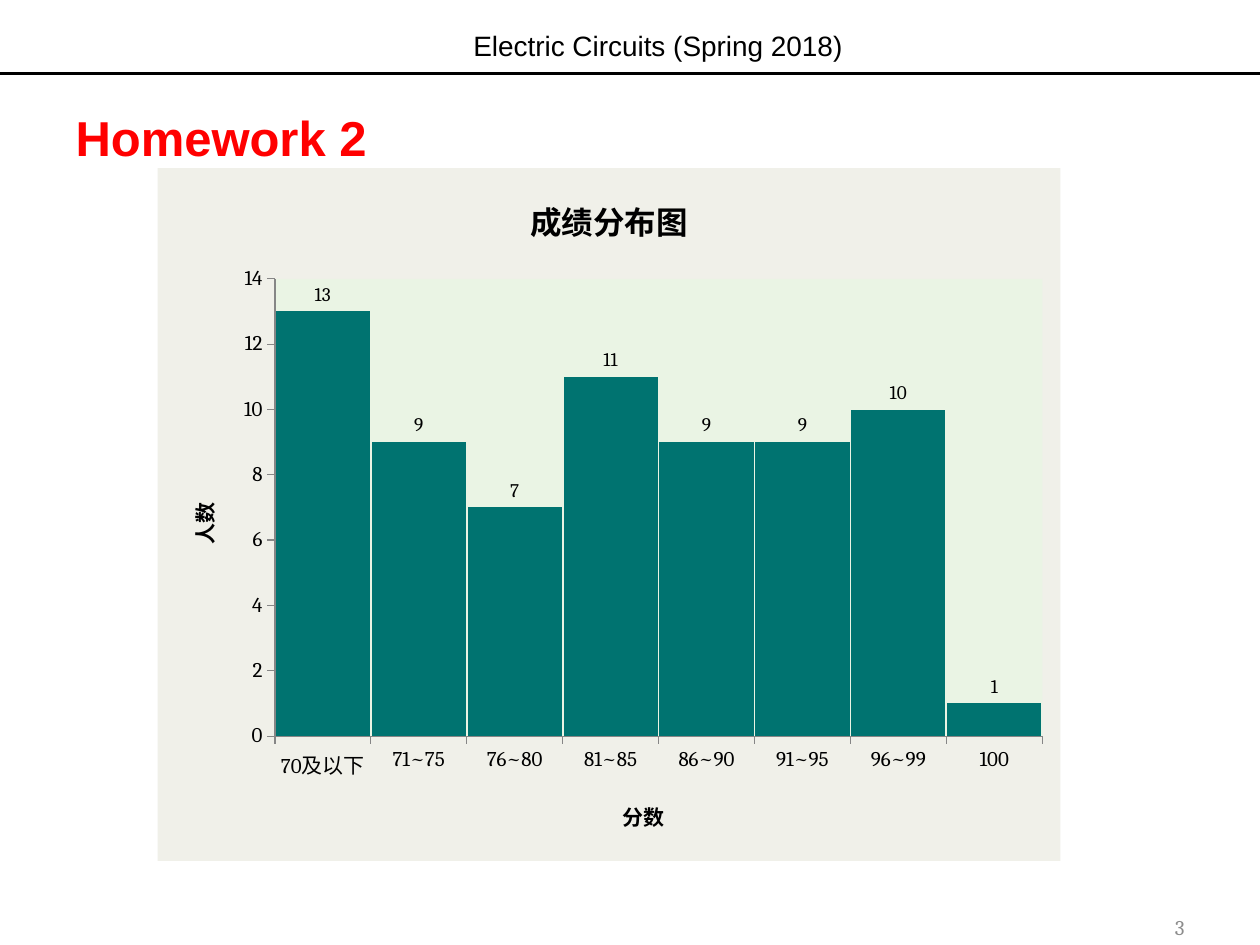
import pptx
import pptx.chart.data
import pptx.dml.color
import pptx.enum.chart
import pptx.enum.shapes
import pptx.enum.text
import pptx.oxml
import pptx.oxml.ns
import pptx.util
from dataclasses import dataclass

Pt = pptx.util.Pt
RGB = pptx.dml.color.RGBColor.from_string
ALIGN = pptx.enum.text.PP_ALIGN
ANCHOR = pptx.enum.text.MSO_ANCHOR
TICK = pptx.enum.chart.XL_TICK_MARK
NAMESPACES = pptx.oxml.ns.nsdecls("c", "a")


@dataclass
class Theme:
    ink: str = "000000"
    title: str = "FF0000"
    muted: str = "8C8C8C"
    axis: str = "868686"
    bars: str = "007370"
    chart_fill: str = "F0F0E9"
    plot_fill: str = "EAF4E4"
    sans: str = "Arial"
    serif: str = "Cambria"
    title_size: int = 28
    chart_title_size: int = 18
    header_size: int = 16
    axis_size: int = 12
    label_size: int = 11


theme = Theme()


def set_font(font, size, color=theme.ink, name=theme.serif, bold=False):
    values = {"size": Pt(size), "name": name, "bold": bold}
    for key, value in values.items():
        setattr(font, key, value)
    font.color.rgb = RGB(color)


def fill_xml(color):
    return pptx.oxml.parse_xml(
        f'<c:spPr {NAMESPACES}><a:solidFill><a:srgbClr val="{color}"/></a:solidFill>'
        "<a:ln><a:noFill/></a:ln></c:spPr>"
    )


deck = pptx.Presentation()
deck.slide_width, deck.slide_height = Pt(720), Pt(540)
page = deck.slides.add_slide(deck.slide_layouts[5])

# Header rule
rule = page.shapes.add_connector(
    pptx.enum.shapes.MSO_CONNECTOR.STRAIGHT, Pt(0), Pt(42), Pt(720), Pt(42)
)
rule.line.color.rgb = RGB(theme.ink)
rule.line.width = Pt(2.25)
rule._element.spPr.append(
    pptx.oxml.parse_xml(f"<a:effectLst {NAMESPACES}/>")
)

# Header, page number and title
header = page.shapes.add_textbox(Pt(262), Pt(12.5), Pt(228), Pt(26.5))
number = page.shapes.add_textbox(Pt(618), Pt(520), Pt(66), Pt(20))
title = page.shapes.title
title.left, title.top, title.width, title.height = Pt(36), Pt(54), Pt(648), Pt(48)

texts = [
    (header, "Electric Circuits (Spring 2018)", ALIGN.CENTER, ANCHOR.TOP, False,
     (theme.header_size, theme.ink, theme.sans)),
    (number, "3", ALIGN.RIGHT, ANCHOR.MIDDLE, True,
     (theme.axis_size, theme.muted, theme.serif)),
    (title, "Homework 2", ALIGN.LEFT, ANCHOR.MIDDLE, True,
     (theme.title_size, theme.title, theme.sans, True)),
]
for box, text, align, anchor, wrap, style in texts:
    frame = box.text_frame
    frame.word_wrap = wrap
    frame.vertical_anchor = anchor
    para = frame.paragraphs[0]
    para.alignment = align
    span = para.add_run()
    span.text = text
    set_font(span.font, *style)

# Score distribution chart
scores = pptx.chart.data.CategoryChartData()
scores.categories = ["70及以下", "71~75", "76~80", "81~85",
                     "86~90", "91~95", "96~99", "100"]
scores.add_series("Series 1", [13, 9, 7, 11, 9, 9, 10, 1])
chart = page.shapes.add_chart(
    pptx.enum.chart.XL_CHART_TYPE.COLUMN_CLUSTERED,
    Pt(90), Pt(96), Pt(516), Pt(396), scores,
).chart
set_font(chart.font, 10)
chart.has_legend = False

# Chart and axis titles
category_axis, value_axis = chart.category_axis, chart.value_axis
chart.has_title = True
for owner, text, size in [
    (chart, "成绩分布图", theme.chart_title_size),
    (category_axis, "分数", theme.axis_size),
    (value_axis, "人数", theme.axis_size),
]:
    heading = owner.chart_title if owner is chart else owner.axis_title
    span = heading.text_frame.paragraphs[0].add_run()
    span.text = text
    set_font(span.font, size, bold=True)
chart.chart_title.include_in_layout = False

# Axes
for axis in (category_axis, value_axis):
    axis.has_major_gridlines = False
    axis.major_tick_mark = TICK.OUTSIDE
    axis.minor_tick_mark = TICK.NONE
    axis.format.line.color.rgb = RGB(theme.axis)
    set_font(axis.tick_labels.font, theme.axis_size)
for key, value in {"minimum_scale": 0, "maximum_scale": 14, "major_unit": 2}.items():
    setattr(value_axis, key, value)

# Bars and value labels
plot = chart.plots[0]
plot.gap_width = 2
plot.vary_by_categories = False
bars = plot.series[0]
bars.format.fill.solid()
bars.format.fill.fore_color.rgb = RGB(theme.bars)
labels = bars.data_labels
labels.show_value = True
labels.position = pptx.enum.chart.XL_LABEL_POSITION.OUTSIDE_END
set_font(labels.font, theme.label_size)

# Backgrounds and plot position as shares of the chart
space = chart.element
space.find(pptx.oxml.ns.qn("c:chart")).addnext(fill_xml(theme.chart_fill))
area = space.find(".//" + pptx.oxml.ns.qn("c:plotArea"))
area.append(fill_xml(theme.plot_fill))
for layout in area.findall(pptx.oxml.ns.qn("c:layout")):
    area.remove(layout)
shares = {"x": 0.13, "y": 0.16, "w": 0.85, "h": 0.66}
modes = '<c:layoutTarget val="inner"/><c:xMode val="edge"/><c:yMode val="edge"/>'
sizes = "".join(f'<c:{key} val="{value}"/>' for key, value in shares.items())
area.insert(0, pptx.oxml.parse_xml(
    f"<c:layout {NAMESPACES}><c:manualLayout>{modes}{sizes}</c:manualLayout></c:layout>"
))

deck.save("out.pptx")
